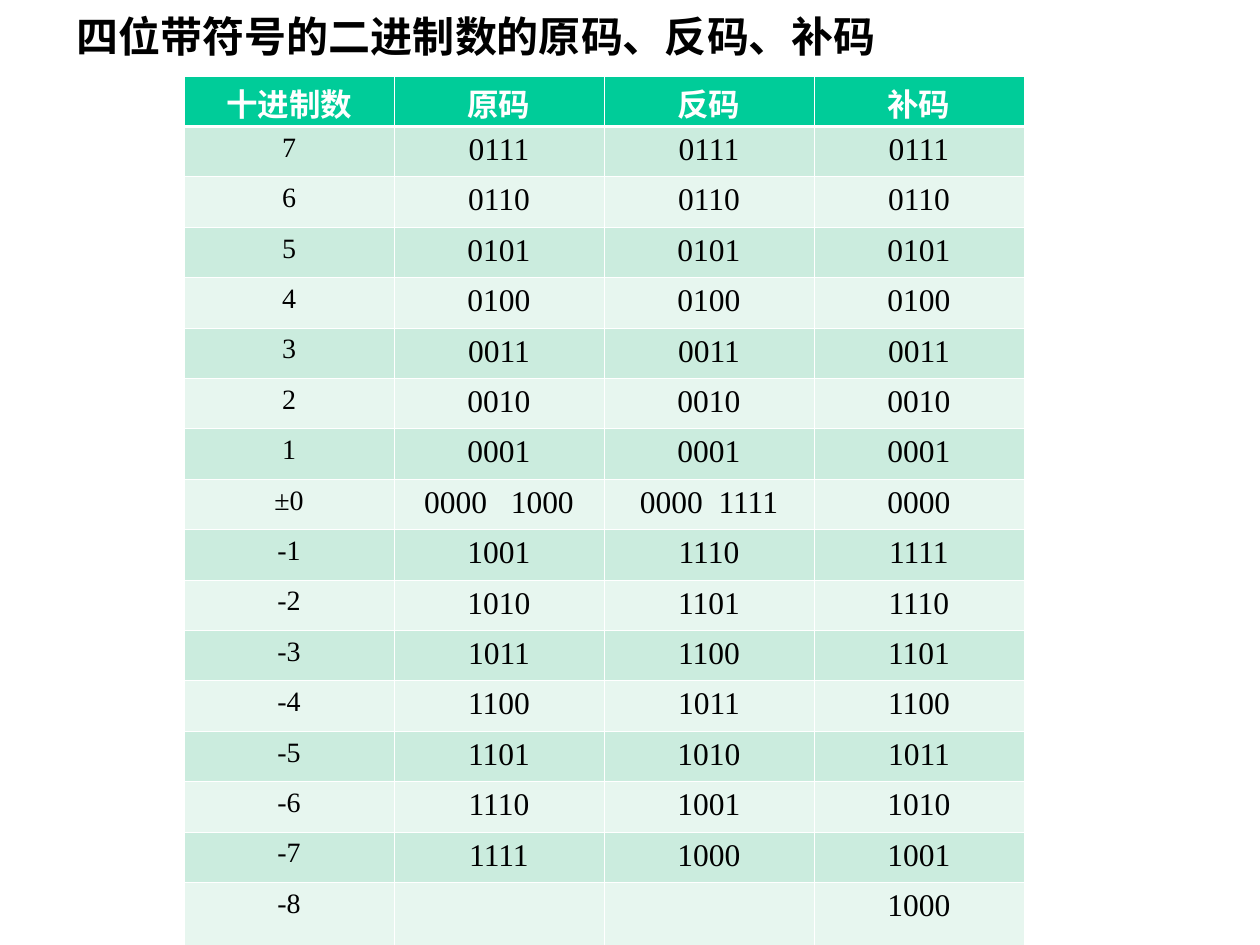
"""Build a slide tabulating sign-magnitude, ones' and two's complement codes."""
from dataclasses import dataclass

from lxml.etree import SubElement
from pptx import Presentation
from pptx.dml.color import RGBColor
from pptx.enum.text import MSO_ANCHOR, MSO_AUTO_SIZE, PP_ALIGN
from pptx.oxml.ns import qn
from pptx.util import Emu, Pt

SCALE = 914400 / 126


@dataclass(frozen=True)
class Theme:
    white: str = "FFFFFF"
    black: str = "000000"
    header: str = "00CC99"
    bands: tuple = ("E7F6EF", "CBECDE")
    latin: str = "Times New Roman"
    chinese: str = "Noto Sans CJK SC"
    title_size: int = 24
    code_size: int = 18
    number_size: int = 16
    empty_size: int = 28
    thin: float = 0.45
    thick: float = 1.47


@dataclass(frozen=True)
class TextStyle:
    size: int
    color: str
    bold: bool
    latin: str


@dataclass(frozen=True)
class CellStyle:
    text: TextStyle
    fill: str
    top: float
    bottom: float
    margins: dict


THEME = Theme()
TITLE = "四位带符号的二进制数的原码、反码、补码"
HEADINGS = ("十进制数", "原码", "反码", "补码")
CODES = (
    ("7", "0111", "0111", "0111"),
    ("6", "0110", "0110", "0110"),
    ("5", "0101", "0101", "0101"),
    ("4", "0100", "0100", "0100"),
    ("3", "0011", "0011", "0011"),
    ("2", "0010", "0010", "0010"),
    ("1", "0001", "0001", "0001"),
    ("±0", "0000 1000", "0000 1111", "0000"),
    ("-1", "1001", "1110", "1111"),
    ("-2", "1010", "1101", "1110"),
    ("-3", "1011", "1100", "1101"),
    ("-4", "1100", "1011", "1100"),
    ("-5", "1101", "1010", "1011"),
    ("-6", "1110", "1001", "1010"),
    ("-7", "1111", "1000", "1001"),
    ("-8", "", "", "1000"),
)
GAP_SPACING = {"0000 1000": 900, "0000 1111": 450}


def px(length: int) -> Emu:
    """Turn whole pixels into EMU."""
    return Emu(round(length * SCALE))


def set_values(target, values: dict) -> None:
    """Set each named attribute of the target."""
    for name, value in values.items():
        setattr(target, name, value)


def add_text(paragraph, text: str, style: TextStyle):
    """Add one styled run and return it."""
    run = paragraph.add_run()
    run.text = text
    set_values(run.font, {"size": Pt(style.size), "bold": style.bold, "name": style.latin})
    run.font.color.rgb = RGBColor.from_string(style.color)
    SubElement(run.font._element, qn("a:ea"), typeface=THEME.chinese)
    return run


def add_title(slide) -> None:
    """Place and format the slide title."""
    title = slide.shapes.title
    set_values(title, {"left": px(64), "top": px(6), "width": px(1134), "height": px(59)})
    title.fill.solid()
    title.fill.fore_color.rgb = RGBColor.from_string(THEME.white)
    set_values(title.text_frame, {
        "word_wrap": True, "auto_size": MSO_AUTO_SIZE.NONE,
        "vertical_anchor": MSO_ANCHOR.MIDDLE,
        "margin_left": px(13), "margin_right": px(13),
        "margin_top": px(6), "margin_bottom": px(6),
    })
    paragraph = title.text_frame.paragraphs[0]
    set_values(paragraph, {"alignment": PP_ALIGN.LEFT, "space_before": Pt(0), "line_spacing": 1.0})
    properties = paragraph._p.get_or_add_pPr()
    properties.set("marL", str(px(48)))
    properties.set("indent", str(px(-48)))
    add_text(paragraph, TITLE, TextStyle(THEME.title_size, THEME.black, True, THEME.chinese))


def add_borders(cell, top: float, bottom: float) -> None:
    """Draw white lines on the four sides of a cell."""
    widths = {"lnL": THEME.thin, "lnR": THEME.thin, "lnT": top, "lnB": bottom}
    for side, width in widths.items():
        line = SubElement(cell._tc.get_or_add_tcPr(), qn(f"a:{side}"), w=str(Pt(width)))
        SubElement(SubElement(line, qn("a:solidFill")), qn("a:srgbClr"), val=THEME.white)


def fill_cell(cell, text: str, style: CellStyle) -> None:
    """Write and format one table cell."""
    add_borders(cell, style.top, style.bottom)
    cell.fill.solid()
    cell.fill.fore_color.rgb = RGBColor.from_string(style.fill)
    set_values(cell, style.margins)
    paragraph = cell.text_frame.paragraphs[0]
    paragraph.alignment = PP_ALIGN.CENTER
    if not text:
        paragraph._p.get_or_add_endParaRPr().set("sz", str(THEME.empty_size * 100))
    for part in filter(None, text.partition(" ")):
        run = add_text(paragraph, part, style.text)
        if part == " ":
            run.font._element.set("spc", str(GAP_SPACING[text]))


def cell_style(row: int, column: int) -> CellStyle:
    """Choose the look of a cell from its place in the table."""
    if row == 0:
        text = TextStyle(THEME.code_size, THEME.white, True, THEME.latin)
        margins = {"margin_top": px(4), "margin_bottom": px(0)}
        return CellStyle(text, THEME.header, THEME.thin, THEME.thick, margins)
    size = THEME.code_size if column else THEME.number_size
    text = TextStyle(size, THEME.black, False, THEME.latin)
    margins = {"margin_top": px(6), "margin_bottom": px(6)}
    top = THEME.thick if row == 1 else THEME.thin
    return CellStyle(text, THEME.bands[row % 2], top, THEME.thin, margins)


def add_code_table(slide) -> None:
    """Add the table of codes."""
    rows = (HEADINGS, *CODES)
    frame = slide.shapes.add_table(
        len(rows), len(HEADINGS), px(184), px(76), px(840), px(857))
    table = frame.table
    table.horz_banding = False
    for row, values in enumerate(rows):
        for column, text in enumerate(values):
            fill_cell(table.cell(row, column), text, cell_style(row, column))


def main() -> None:
    """Build and save the presentation."""
    presentation = Presentation()
    set_values(presentation, {"slide_width": px(1260), "slide_height": px(945)})
    slide = presentation.slides.add_slide(presentation.slide_layouts[5])
    add_title(slide)
    add_code_table(slide)
    presentation.save("out.pptx")


if __name__ == "__main__":
    main()
